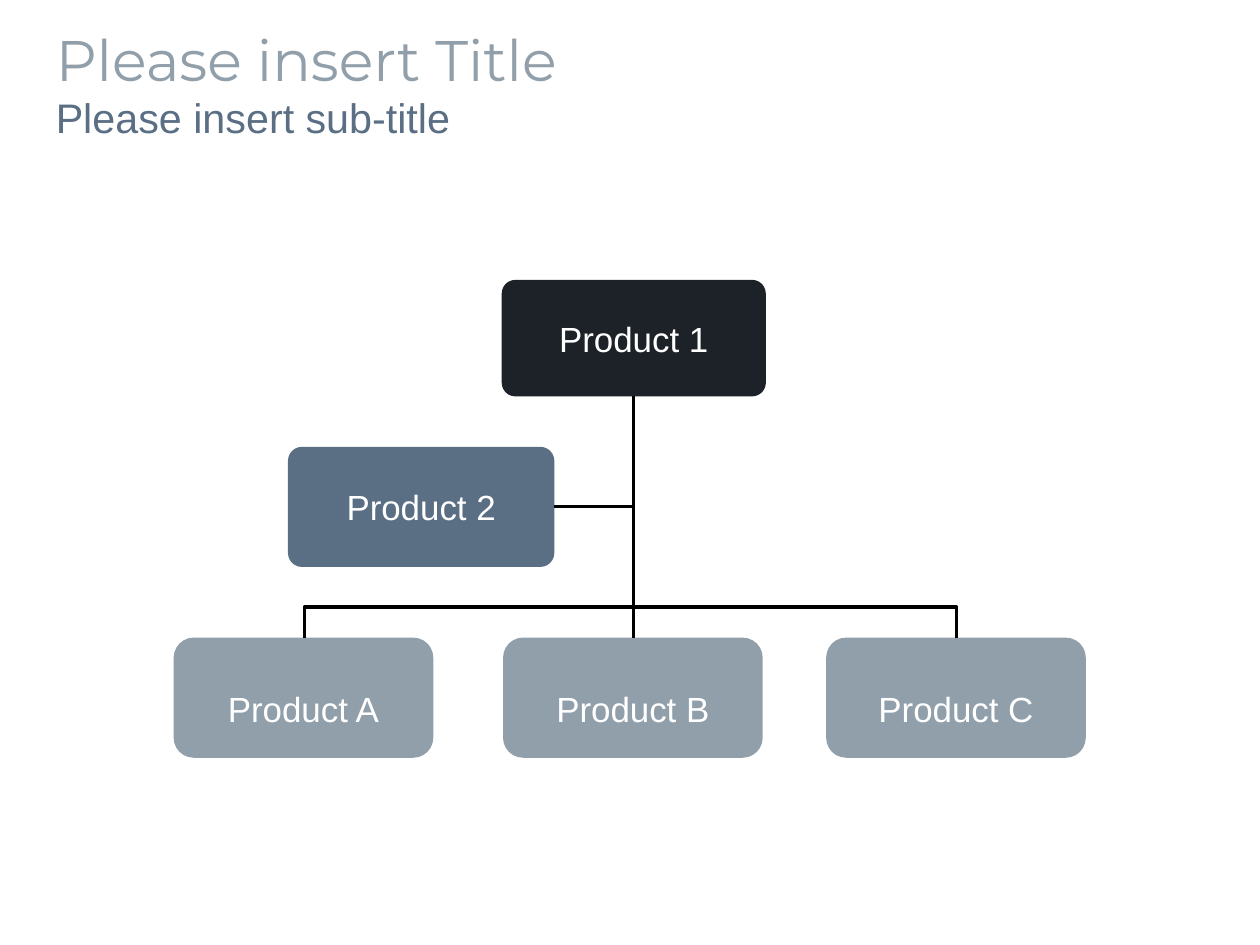
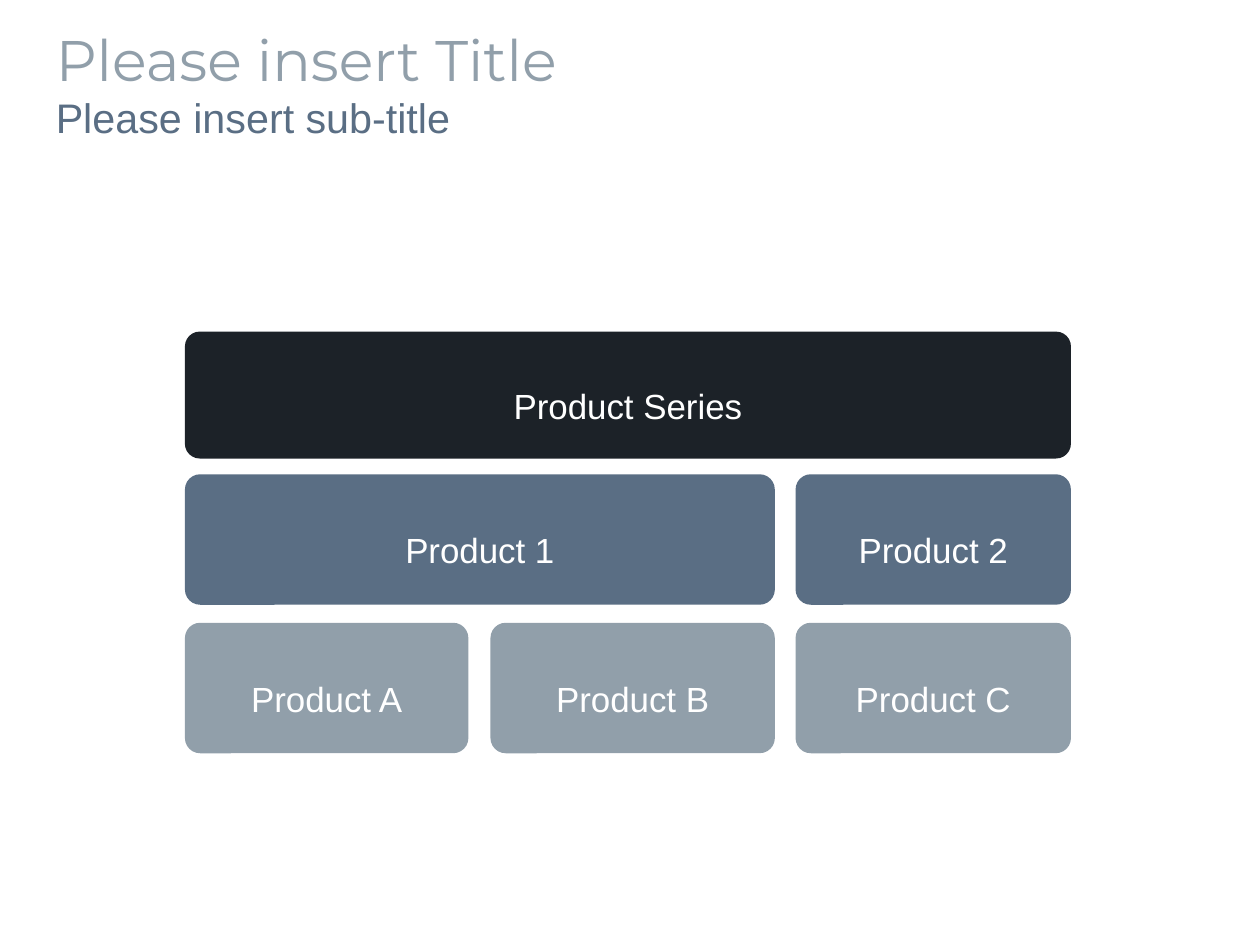
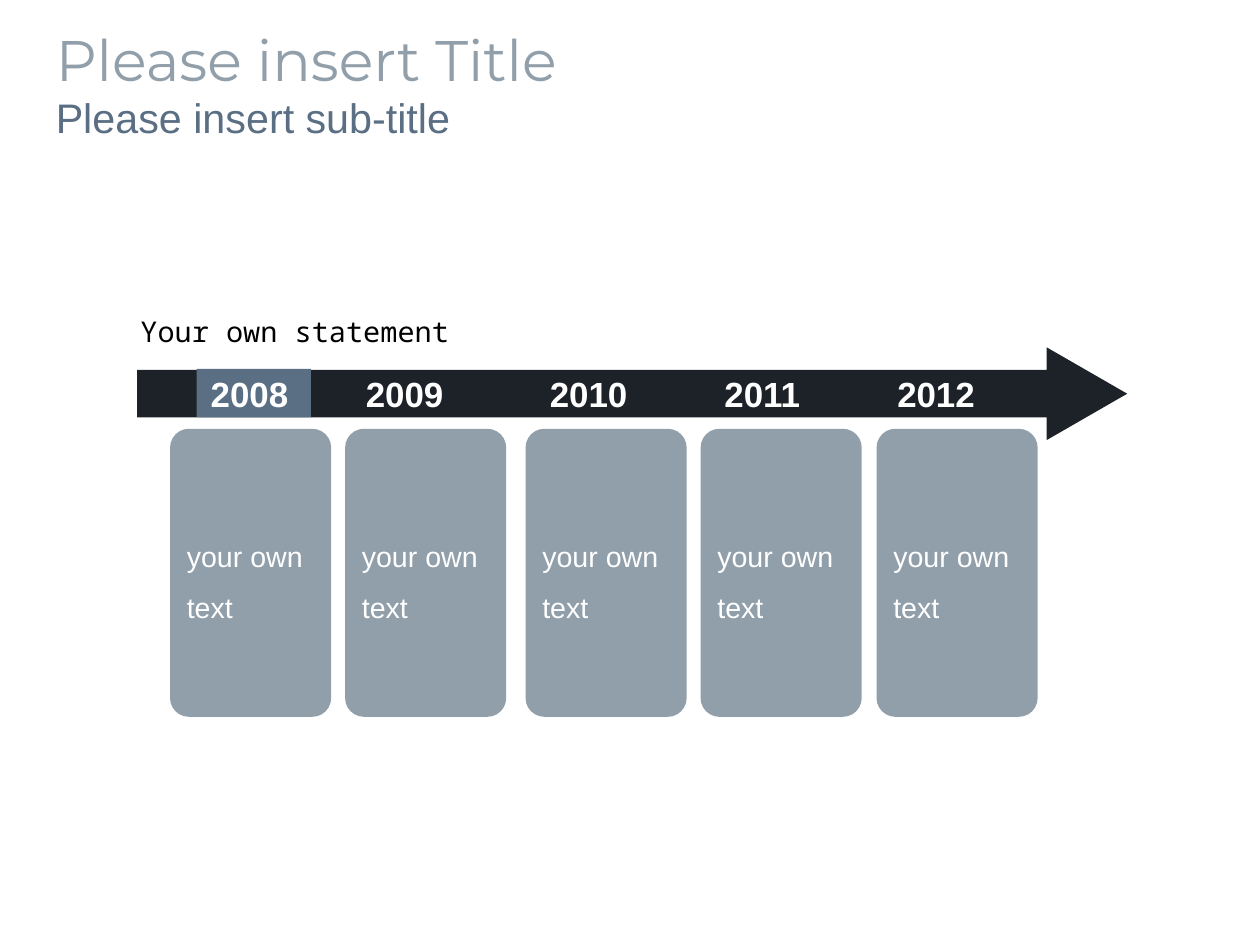
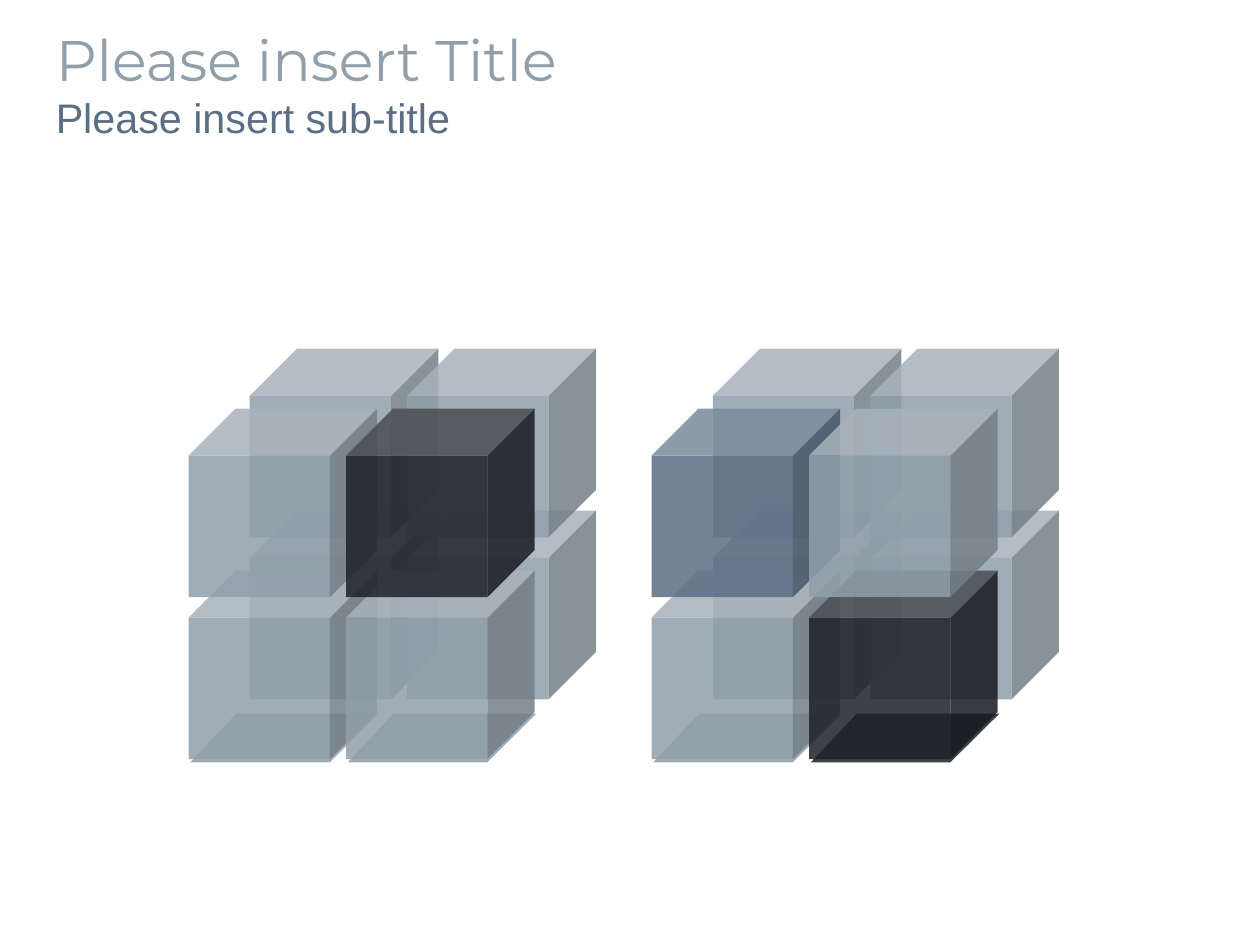
from dataclasses import dataclass, field
from typing import Any

from lxml import etree
from pptx import Presentation
from pptx import util as u
from pptx.dml import color
from pptx.enum import shapes, text
from pptx.oxml import ns

DARK, BLUE, GREY, WHITE, BLACK = "1C2228", "5A6E84", "919FAA", "FFFFFF", "000000"
SANS, TITLE_FONT, MONO = "Arial", "Montserrat", "Noto Sans Mono"
PRESET = shapes.MSO_SHAPE
CENTER, LEFT = text.PP_ALIGN.CENTER, text.PP_ALIGN.LEFT
CUBE_SIZE = 4.19
TALL = {"line_spacing": 1.5}


@dataclass(frozen=True)
class Line:
    words: str
    size: int = 22
    colour: str = WHITE
    font: str = SANS
    bold: bool = False
    layout: dict[str, Any] = field(default_factory=lambda: {"alignment": CENTER})
    tabs: tuple[float, ...] = ()


@dataclass(frozen=True)
class Box:
    left: float
    top: float
    width: float
    height: float
    fill: str
    line: Line | None = None
    preset: Any = PRESET.ROUNDED_RECTANGLE
    adjustments: tuple[float, ...] = (0.117,)
    opacity: int = 100


def rgb(colour: str) -> color.RGBColor:
    return color.RGBColor.from_string(colour)


def set_all(target: Any, values: dict[str, Any]) -> None:
    for name, value in values.items():
        setattr(target, name, value)


def write(frame: Any, lines: list[Line], **frame_values: Any) -> None:
    set_all(frame, {"word_wrap": True} | frame_values)
    for index, line in enumerate(lines):
        paragraph = frame.add_paragraph() if index else frame.paragraphs[0]
        if line.tabs:
            tab_list = etree.SubElement(paragraph._p.get_or_add_pPr(), ns.qn("a:tabLst"))
            for position in line.tabs:
                etree.SubElement(tab_list, ns.qn("a:tab"), pos=str(u.Cm(position)), algn="l")
        set_all(paragraph, line.layout)
        run = paragraph.add_run()
        run.text = line.words
        set_all(run.font, {"name": line.font, "size": u.Pt(line.size), "bold": line.bold})
        run.font.color.rgb = rgb(line.colour)


def paint(shape: Any, fill: str, opacity: int = 100) -> None:
    shape.shadow.inherit = False
    shape.fill.solid()
    shape.fill.fore_color.rgb = rgb(fill)
    shape.line.fill.background()
    if opacity < 100:
        colour = shape._element.spPr.find(ns.qn("a:solidFill"))[0]
        etree.SubElement(colour, ns.qn("a:alpha"), val=str(opacity * 1000))


def draw_box(slide: Any, box: Box) -> Any:
    place = [u.Cm(value) for value in (box.left, box.top, box.width, box.height)]
    shape = slide.shapes.add_shape(box.preset, *place)
    for index, value in enumerate(box.adjustments):
        shape.adjustments[index] = value
    paint(shape, box.fill, box.opacity)
    if box.line:
        write(shape.text_frame, [box.line], vertical_anchor=text.MSO_ANCHOR.MIDDLE)
    return shape


def draw_text(slide: Any, place: tuple[float, ...], lines: list[Line]) -> None:
    shape = slide.shapes.add_textbox(*map(u.Cm, place))
    write(shape.text_frame, lines, auto_size=text.MSO_AUTO_SIZE.SHAPE_TO_FIT_TEXT)


def draw_connector(slide: Any, kind: Any, *ends: float) -> Any:
    connector = slide.shapes.add_connector(kind, *map(u.Cm, ends))
    connector.line.color.rgb = rgb(BLACK)
    connector.line.width = u.Pt(0)
    etree.SubElement(connector._element.spPr, ns.qn("a:effectLst"))
    return connector


def draw_branch(slide: Any, x1: float, y1: float, x2: float, y2: float, bend: float) -> None:
    length, spread = y2 - y1, abs(x2 - x1)
    left, top = (x1 + x2 - length) / 2, (y1 + y2 - spread) / 2
    connector = draw_connector(
        slide, shapes.MSO_CONNECTOR.ELBOW, left, top, left + length, top + spread
    )
    properties = connector._element.spPr
    frame = properties.find(ns.qn("a:xfrm"))
    turn = {"rot": "5400000"} if x2 < x1 else {"rot": "16200000", "flipH": "1"}
    for name, value in turn.items():
        frame.set(name, value)
    guides = properties.find(ns.qn("a:prstGeom")).find(ns.qn("a:avLst"))
    etree.SubElement(guides, ns.qn("a:gd"), name="adj1", fmla=f"val {round(bend * 100000)}")


def new_slide(presentation: Any) -> Any:
    slide = presentation.slides.add_slide(presentation.slide_layouts[6])
    heading = [
        Line("Please insert Title", 36, GREY, TITLE_FONT, layout={"alignment": LEFT}),
        Line("Please insert sub-title", 26, BLUE, layout={"alignment": LEFT}),
    ]
    draw_text(slide, (0.99, 0.41, 25.3, 3.07), heading)
    return slide


def tree_slide(presentation: Any) -> None:
    slide = new_slide(presentation)
    draw_box(slide, Box(11.15, 6.22, 5.87, 2.59, DARK, Line("Product 1")))
    draw_box(slide, Box(6.4, 9.93, 5.92, 2.67, BLUE, Line("Product 2")))
    child_layout = {"alignment": CENTER, "space_after": u.Pt(14.2)} | TALL
    for letter, left in zip("ABC", (3.86, 11.18, 18.36)):
        line = Line(f"Product {letter}", layout=child_layout)
        draw_box(slide, Box(left, 14.17, 5.77, 2.67, GREY, line, adjustments=(0.167,)))

    trunk, start, end = 14.07, 8.81, 14.17
    stub = draw_connector(slide, shapes.MSO_CONNECTOR.ELBOW, 12.32, 11.25, trunk, start)
    stub._element.spPr.find(ns.qn("a:prstGeom")).set("prst", "bentConnector2")
    for child_center in (6.76, 21.26):
        draw_branch(slide, trunk, start, child_center, end, 0.873)
    draw_connector(slide, shapes.MSO_CONNECTOR.STRAIGHT, trunk, start, trunk, end)


def stack_slide(presentation: Any) -> None:
    slide = new_slide(presentation)
    columns = [(4.11, 10.41), (10.9, 17.22), (17.68, 23.8)]
    rows = [
        (7.37, 2.82, DARK, [("Product Series", 0, 2)]),
        (10.54, 2.9, BLUE, [("Product 1", 0, 1), ("Product 2", 2, 2)]),
        (13.84, 2.9, GREY, [(f"Product {letter}", i, i) for i, letter in enumerate("ABC")]),
    ]
    for top, height, fill, cells in rows:
        for words, first, last in cells:
            left, right = columns[first][0], columns[last][1]
            line = Line(words, layout={"alignment": CENTER} | TALL)
            draw_box(slide, Box(left, top, right - left, height, fill, line))


def timeline_slide(presentation: Any) -> None:
    slide = new_slide(presentation)
    years = Line(
        "\t2009\t2010\t2011\t2012",
        bold=True,
        layout={"alignment": LEFT},
        tabs=(4.83, 8.92, 12.8, 16.64),
    )
    draw_box(
        slide, Box(3.05, 7.72, 22, 2.06, DARK, years, PRESET.RIGHT_ARROW, (0.513, 0.868))
    )
    current = Line("2008", bold=True)
    marker = draw_box(slide, Box(4.37, 8.2, 2.54, 1.07, BLUE, current, PRESET.RECTANGLE, ()))
    marker.text_frame.margin_right = u.Cm(0.44)
    for left in (3.78, 7.67, 11.68, 15.57, 19.48):
        line = Line("your own text", 18, layout={"alignment": LEFT} | TALL)
        draw_box(slide, Box(left, 9.53, 3.58, 6.4, GREY, line))
    statement = Line("Your own statement", 18, BLACK, MONO, layout={"alignment": LEFT})
    draw_text(slide, (2.87, 6.86, 13.13, 1.12), [statement])


def draw_cube(slide: Any, left: float, top: float, fill: str) -> None:
    draw_box(
        slide,
        Box(left, top, CUBE_SIZE, CUBE_SIZE, fill, None, PRESET.CUBE, (0.25,), 85),
    )


def draw_floor(slide: Any, left: float, top: float, fill: str) -> None:
    corners = [(1.02, 0), (CUBE_SIZE, 0), (3.1, 1.08), (0, 1.08)]
    points = [(u.Cm(left + x), u.Cm(top + y)) for x, y in corners]
    builder = slide.shapes.build_freeform(*points[0])
    builder.add_line_segments(points[1:], close=True)
    paint(builder.convert_to_shape(), fill, 85)


def cubes_slide(presentation: Any) -> None:
    slide = new_slide(presentation)
    column_pitch, row_pitch = 3.5, 3.6
    back_shift, back_top, front_top = 1.36, 7.75, 9.08
    clusters = [
        (4.19, [(GREY, GREY), (GREY, DARK)]),
        (14.48, [(GREY, DARK), (BLUE, GREY)]),
    ]
    for origin, front_rows in clusters:
        lefts = [origin, origin + column_pitch]
        for left in lefts:
            for row in (1, 0):
                draw_cube(slide, left + back_shift, back_top + row * row_pitch, GREY)
        for row, fills in zip((1, 0), front_rows):
            top = front_top + row * row_pitch
            for left, fill in zip(lefts, fills):
                if row == 1:
                    draw_floor(slide, left + 0.04, top + 3.18, fill)
                draw_cube(slide, left, top, fill)


def main() -> None:
    presentation = Presentation()
    set_all(presentation, {"slide_width": u.Cm(28), "slide_height": u.Cm(21)})
    for build in (tree_slide, stack_slide, timeline_slide, cubes_slide):
        build(presentation)
    presentation.save("out.pptx")


if __name__ == "__main__":
    main()
